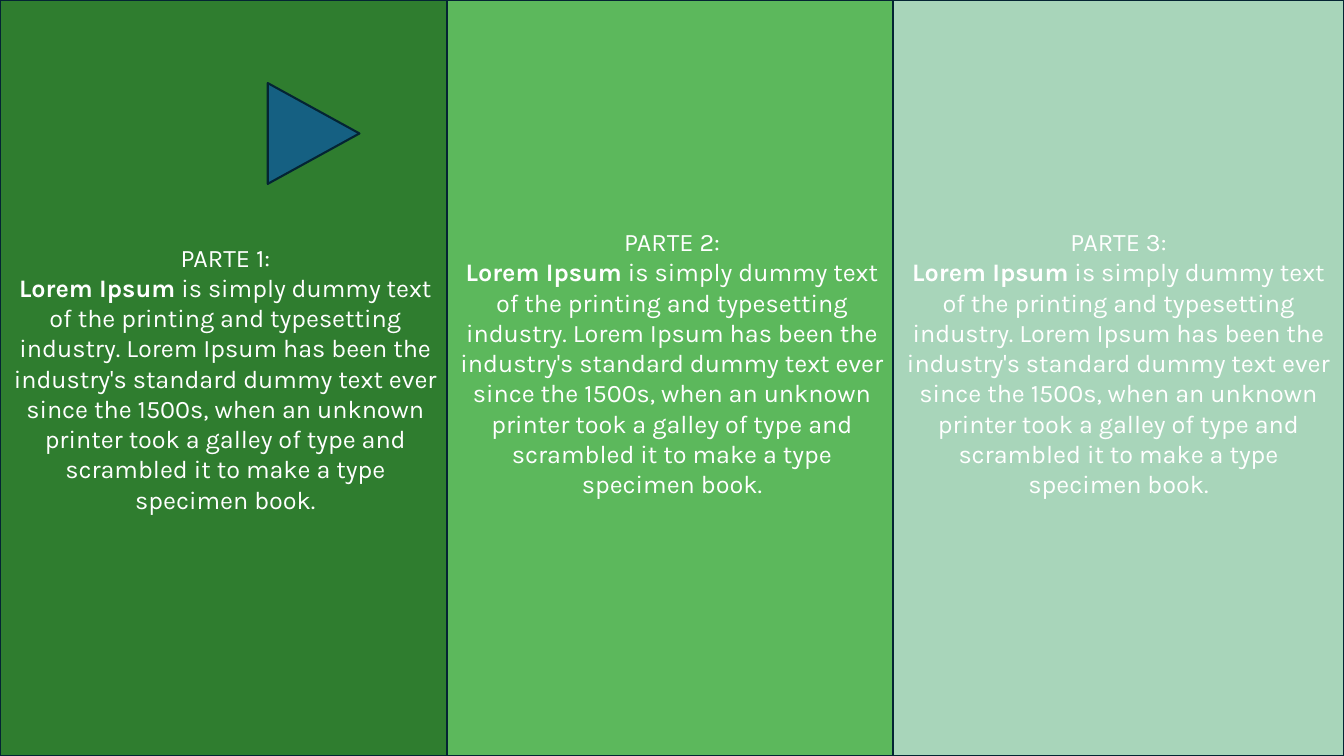
from pptx import Presentation
from pptx.dml.color import RGBColor
from pptx.enum.shapes import MSO_SHAPE
from pptx.enum.text import MSO_ANCHOR, PP_ALIGN
from pptx.util import Pt

RECTANGLE = MSO_SHAPE.RECTANGLE
TRIANGLE = MSO_SHAPE.ISOSCELES_TRIANGLE
MIDDLE = MSO_ANCHOR.MIDDLE
CENTER = PP_ALIGN.CENTER

SLIDE_WIDTH, SLIDE_HEIGHT = 960, 540
PANEL_WIDTH = 322
FONT = "Karla"
COLORS = {
    "dark green": "2F7D2F",
    "green": "5CB85C",
    "pale green": "A8D5BA",
    "blue": "156082",
    "outline": "042433",
    "text": "FFFFFF",
}
LEAD = "Lorem Ipsum"
BODY = (
    " is simply dummy text of the printing and typesetting industry. "
    "Lorem Ipsum has been the industry's standard dummy text ever since "
    "the 1500s, when an unknown printer took a galley of type and "
    "scrambled it to make a type specimen book."
)
# Panel fill and bottom inset, which sets the height of the centred text
PANELS = [("dark green", 3.6), ("green", 25.5), ("pale green", 25.5)]


def color(name):
    return RGBColor.from_string(COLORS[name])


def add_outlined_shape(page, kind, left, top, width, height, fill):
    shape = page.shapes.add_shape(
        kind, Pt(left), Pt(top), Pt(width), Pt(height))
    shape.shadow.inherit = False
    shape.fill.solid()
    shape.fill.fore_color.rgb = color(fill)
    shape.line.color.rgb = color("outline")
    shape.line.width = Pt(1.5)
    return shape


def add_text(para, text, size=18, bold=False, fill="text"):
    span = para.add_run()
    span.text = text
    span.font.name = FONT
    span.font.size = Pt(size)
    span.font.bold = bold
    span.font.color.rgb = color(fill)


def add_panel(page, number, left, fill, bottom_inset):
    panel = add_outlined_shape(
        page, RECTANGLE, left, 0, PANEL_WIDTH, SLIDE_HEIGHT, fill)
    box = panel.text_frame
    box.word_wrap = True
    box.vertical_anchor = MIDDLE
    box.margin_bottom = Pt(bottom_inset)
    heading, body = box.paragraphs[0], box.add_paragraph()
    heading.alignment = body.alignment = CENTER
    add_text(heading, f"PARTE {number}:")
    add_text(body, LEAD, bold=True)
    add_text(body, BODY)


def main():
    deck = Presentation()
    deck.slide_width, deck.slide_height = Pt(SLIDE_WIDTH), Pt(SLIDE_HEIGHT)
    page = deck.slides.add_slide(deck.slide_layouts[6])

    # Three slightly overlapping panels across the slide
    step = (SLIDE_WIDTH - PANEL_WIDTH) / (len(PANELS) - 1)
    for index, (fill, bottom_inset) in enumerate(PANELS):
        add_panel(page, index + 1, index * step, fill, bottom_inset)

    # Triangle pointing right
    pointer = add_outlined_shape(page, TRIANGLE, 188, 62.6, 72, 65.5, "blue")
    pointer.rotation = 90

    deck.save("out.pptx")


if __name__ == "__main__":
    main()
